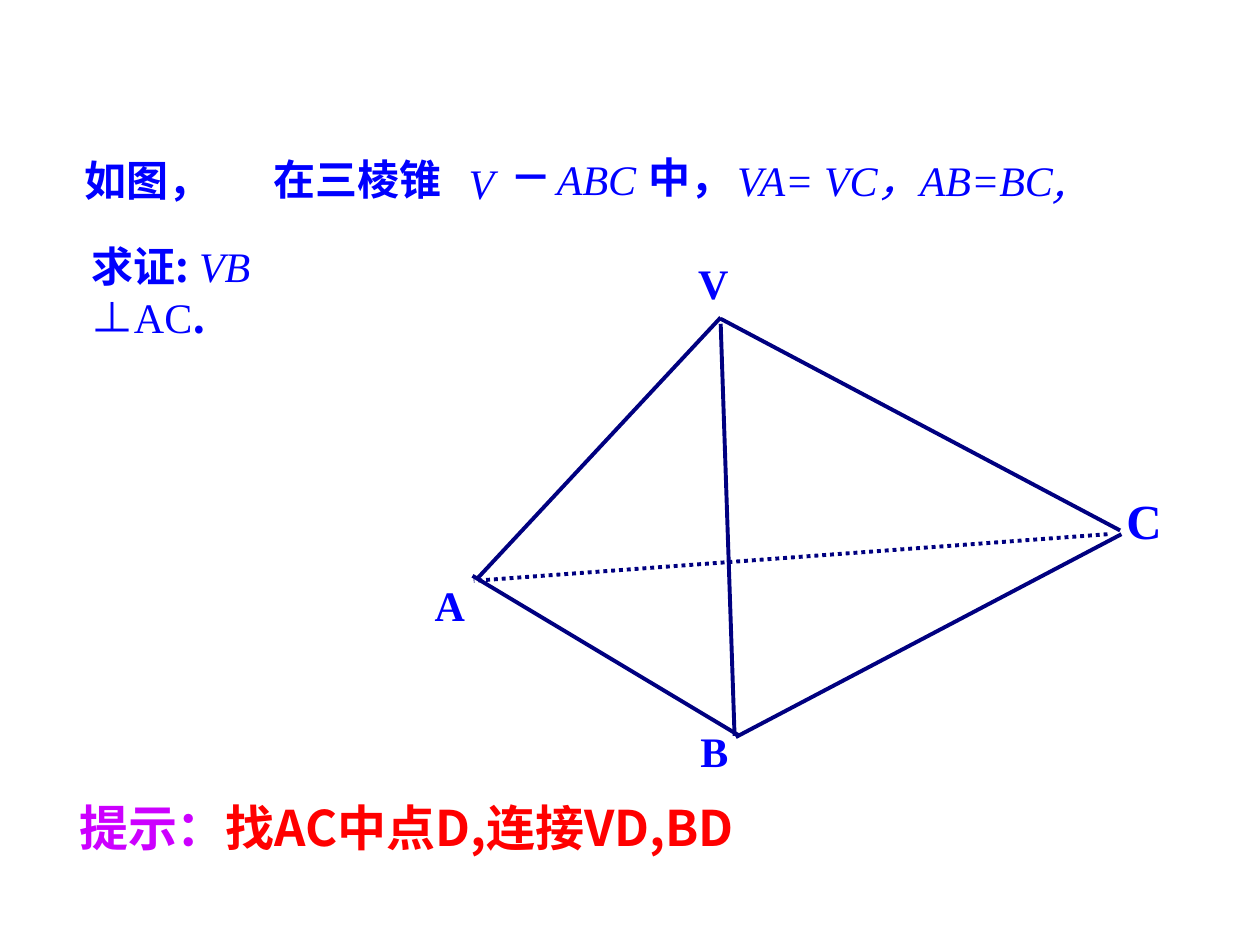
from pptx import Presentation
from pptx.dml.color import RGBColor
from pptx.enum.dml import MSO_LINE
from pptx.enum.shapes import MSO_CONNECTOR
from pptx.oxml.ns import qn
from pptx.util import Inches, Pt
from lxml.etree import SubElement

COLORS = {"text": "0000FF", "edge": "000080", "hint": "CC00FF", "answer": "FF0000"}
ROMAN, SANS, CJK = "Times New Roman", "Arial", "Noto Sans CJK SC"


class Board:
    def __init__(self, slide):
        self.slide = slide

    def text(self, left, top, width, height, *runs, size=24, inset=(0, 0)):
        """Each run is (text, font, style, color key); style holds b and/or i; "\\n" breaks the line."""
        box = self.slide.shapes.add_textbox(*map(Inches, (left, top, width, height)))
        frame = box.text_frame
        frame.word_wrap = True
        frame.margin_left = frame.margin_right = Inches(inset[0])
        frame.margin_top = frame.margin_bottom = Inches(inset[1])
        paragraph = frame.paragraphs[0]
        for content, face, style, color in runs:
            if content == "\n":
                paragraph.add_line_break()
                continue
            run = paragraph.add_run()
            run.text = content
            font = run.font
            font.size = Pt(size)
            font.bold = "b" in style
            font.italic = "i" in style
            font.color.rgb = RGBColor.from_string(COLORS[color])
            font.name = face
            SubElement(run._r.get_or_add_rPr(), qn("a:ea"), typeface=CJK)

    def edge(self, start, end, hidden=False):
        line = self.slide.shapes.add_connector(
            MSO_CONNECTOR.STRAIGHT, *map(Inches, start + end))
        line.line.color.rgb = RGBColor.from_string(COLORS["edge"])
        line.line.width = Pt(2.25)
        if hidden:
            line.line.dash_style = MSO_LINE.ROUND_DOT
        SubElement(line._element.spPr, qn("a:effectLst"))


def main():
    deck = Presentation()
    deck.slide_width, deck.slide_height = Inches(10), Inches(7.5)
    board = Board(deck.slides.add_slide(deck.slide_layouts[6]))

    # Edges of the pyramid
    board.edge((5.72, 2.57), (5.83, 5.84))
    board.edge((8.79, 4.24), (3.76, 4.61), hidden=True)
    board.edge((5.72, 2.53), (8.89, 4.21))
    board.edge((5.72, 2.52), (3.79, 4.59))
    board.edge((3.75, 4.57), (5.87, 5.84))
    board.edge((8.9, 4.24), (5.84, 5.85))

    # Vertex names
    for vertex, left, top, size in (("V", 5.54, 2.04, 24), ("A", 3.45, 4.6, 24),
                                    ("B", 5.56, 5.76, 24), ("C", 8.94, 3.89, 28)):
        board.text(left, top, 0.34, size / 60, (vertex, ROMAN, "b", "text"), size=size)

    # Problem statement
    board.text(0.67, 1.23, 1.73, 0.4, ("如图，", CJK, "b", "text"))
    board.text(2.17, 1.22, 1.71, 0.4, ("在三棱锥", CJK, "b", "text"))
    board.text(3.72, 1.25, 0.25, 0.4, ("V", ROMAN, "i", "text"))
    board.text(4.07, 1.08, 0.3, 0.58, ("−", SANS, "", "text"), size=35)
    board.text(4.42, 1.22, 0.7, 0.4, ("ABC", ROMAN, "i", "text"))
    board.text(5.15, 1.2, 0.7, 0.4, ("中，", CJK, "b", "text"))
    board.text(5.85, 1.23, 3.04, 0.4,
               ("VA= VC", ROMAN, "i", "text"), ("，", SANS, "i", "text"),
               ("AB=BC", ROMAN, "i", "text"), (",", CJK, "i", "text"))
    board.text(0.73, 1.91, 2.27, 0.8,
               ("求证: ", CJK, "b", "text"), ("VB", ROMAN, "i", "text"),
               ("\n", ROMAN, "", "text"), ("⊥", CJK, "", "text"),
               ("AC", ROMAN, "", "text"), (".", CJK, "b", "text"))

    board.text(0.53, 6.28, 5.72, 1.04,
               ("提示：", CJK, "b", "hint"),
               ("找AC中点D,连接VD,BD", CJK, "b", "answer"),
               size=28, inset=(0.1, 0.05))

    deck.save("out.pptx")


if __name__ == "__main__":
    main()
